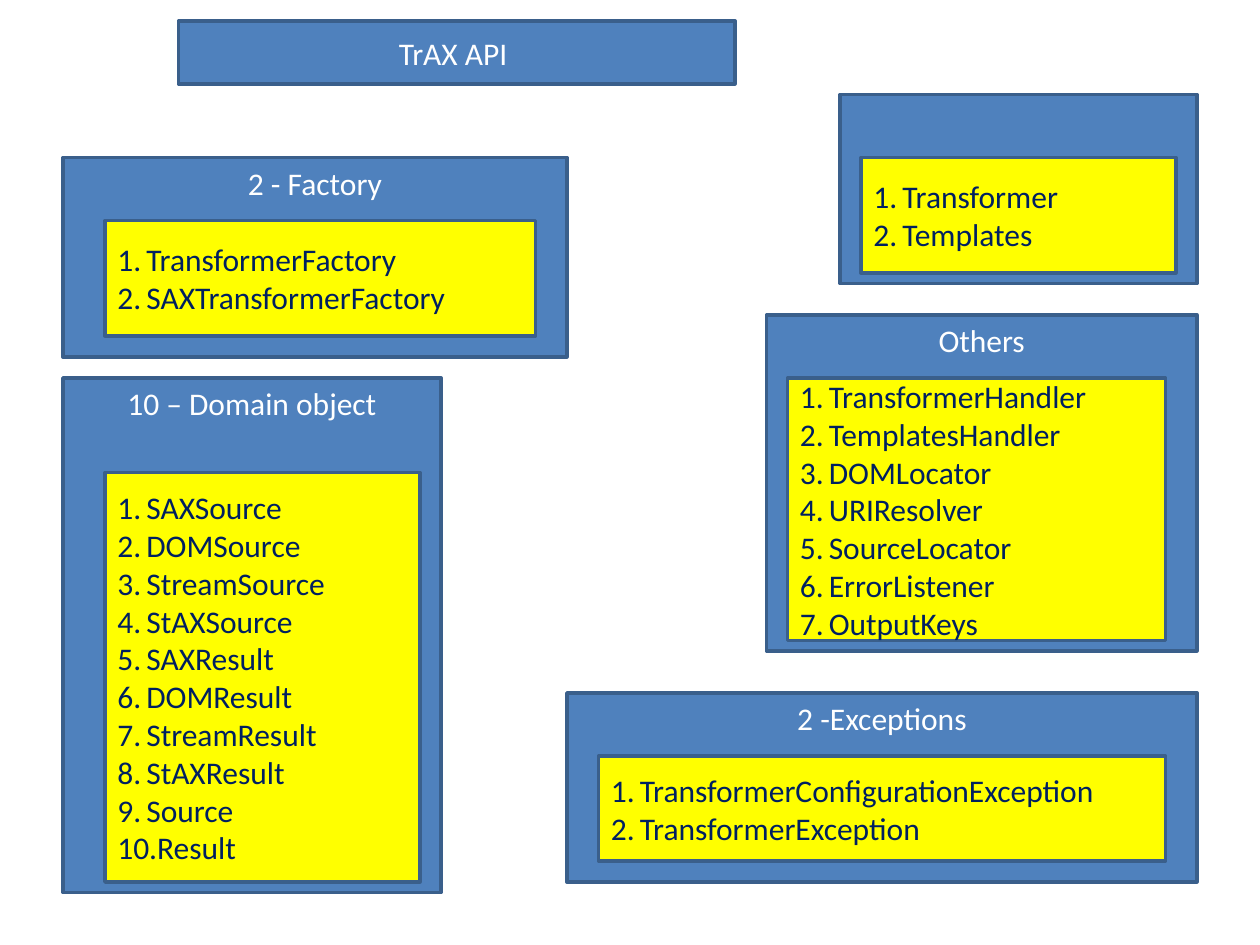
"""Build the TrAX API overview slide: a title and captioned panels of numbered class lists."""
from pptx import Presentation
from pptx.dml.color import RGBColor
from pptx.enum.shapes import MSO_SHAPE
from pptx.enum.text import MSO_ANCHOR, MSO_AUTO_SIZE, PP_ALIGN
from pptx.oxml.ns import qn
from pptx.util import Inches, Pt

BLUE = RGBColor(0x4F, 0x81, 0xBD)
EDGE = RGBColor(0x3A, 0x5F, 0x8B)
YELLOW = RGBColor(0xFF, 0xFF, 0x00)
NAVY = RGBColor(0x00, 0x20, 0x60)
WHITE = RGBColor(0xFF, 0xFF, 0xFF)

COLS, ROWS = 120, 90
NUMBER_INDENT = Inches(0.23)
TITLE = ("TrAX API ", (17, 2, 53, 6))
PANELS = [
    ("2 - Factory", (6, 15, 48, 19), (10, 21, 41, 11),
     ["TransformerFactory", "SAXTransformerFactory"]),
    ("10 – Domain object", (6, 36, 36, 49), (10, 45, 30, 39),
     ["SAXSource", "DOMSource", "StreamSource", "StAXSource", "SAXResult",
      "DOMResult", "StreamResult", "StAXResult", "Source", "Result"]),
    ("Others", (73, 30, 41, 32), (75, 36, 36, 25),
     ["TransformerHandler", "TemplatesHandler", "DOMLocator", "URIResolver",
      "SourceLocator", "ErrorListener", "OutputKeys"]),
    ("2 -Exceptions", (54, 66, 60, 18), (57, 72, 54, 10),
     ["TransformerConfigurationException", "TransformerException"]),
    ("", (80, 9, 34, 18), (82, 15, 30, 11), ["Transformer", "Templates"]),
]

prs = Presentation()
prs.slide_width, prs.slide_height = Inches(10), Inches(7.5)
s = prs.slides.add_slide(prs.slide_layouts[5])


def to_slide(cells):
    """Turn grid cells into left, top, width and height on the slide."""
    x, y, w, h = cells
    cw, rh = prs.slide_width / COLS, prs.slide_height / ROWS
    return [round(v) for v in (x * cw, y * rh, w * cw, h * rh)]


def style_box(sp, fill, anchor):
    """Give a box its fill, outline and text frame settings."""
    sp.fill.solid()
    sp.fill.fore_color.rgb = fill
    sp.line.color.rgb = EDGE
    sp.line.width = Pt(2)
    frame = {"word_wrap": True, "auto_size": MSO_AUTO_SIZE.NONE, "vertical_anchor": anchor,
             "margin_left": Inches(0.1), "margin_right": Inches(0.1),
             "margin_top": Inches(0.05), "margin_bottom": Inches(0.05)}
    for name, value in frame.items():
        setattr(sp.text_frame, name, value)


def write(sp, lines, color, align, numbered=False):
    """Write one paragraph per line, numbered if asked."""
    tf = sp.text_frame
    for i, line in enumerate(lines):
        p = tf.paragraphs[0] if i == 0 else tf.add_paragraph()
        p.alignment = align
        if numbered:
            pPr = p._p.get_or_add_pPr()
            pPr.set("marL", str(NUMBER_INDENT))
            pPr.set("indent", str(-NUMBER_INDENT))
            pPr.append(pPr.makeelement(qn("a:buAutoNum"), {"type": "arabicPeriod"}))
        r = p.add_run()
        r.text = line
        for name, value in {"name": "Calibri", "size": Pt(18)}.items():
            setattr(r.font, name, value)
        r.font.color.rgb = color


def add_box(cells, fill, anchor):
    """Add a styled rectangle on the grid."""
    sp = s.shapes.add_shape(MSO_SHAPE.RECTANGLE, *to_slide(cells))
    sp.shadow.inherit = False
    style_box(sp, fill, anchor)
    return sp


text, cells = TITLE
title = s.shapes.title
title.left, title.top, title.width, title.height = to_slide(cells)
style_box(title, BLUE, MSO_ANCHOR.MIDDLE)
write(title, [text], WHITE, PP_ALIGN.CENTER)

for caption, outer, inner, classes in PANELS:
    panel = add_box(outer, BLUE, MSO_ANCHOR.TOP)
    if caption:
        write(panel, [caption], WHITE, PP_ALIGN.CENTER)
    write(add_box(inner, YELLOW, MSO_ANCHOR.MIDDLE), classes, NAVY, PP_ALIGN.LEFT, True)

prs.save("out.pptx")
